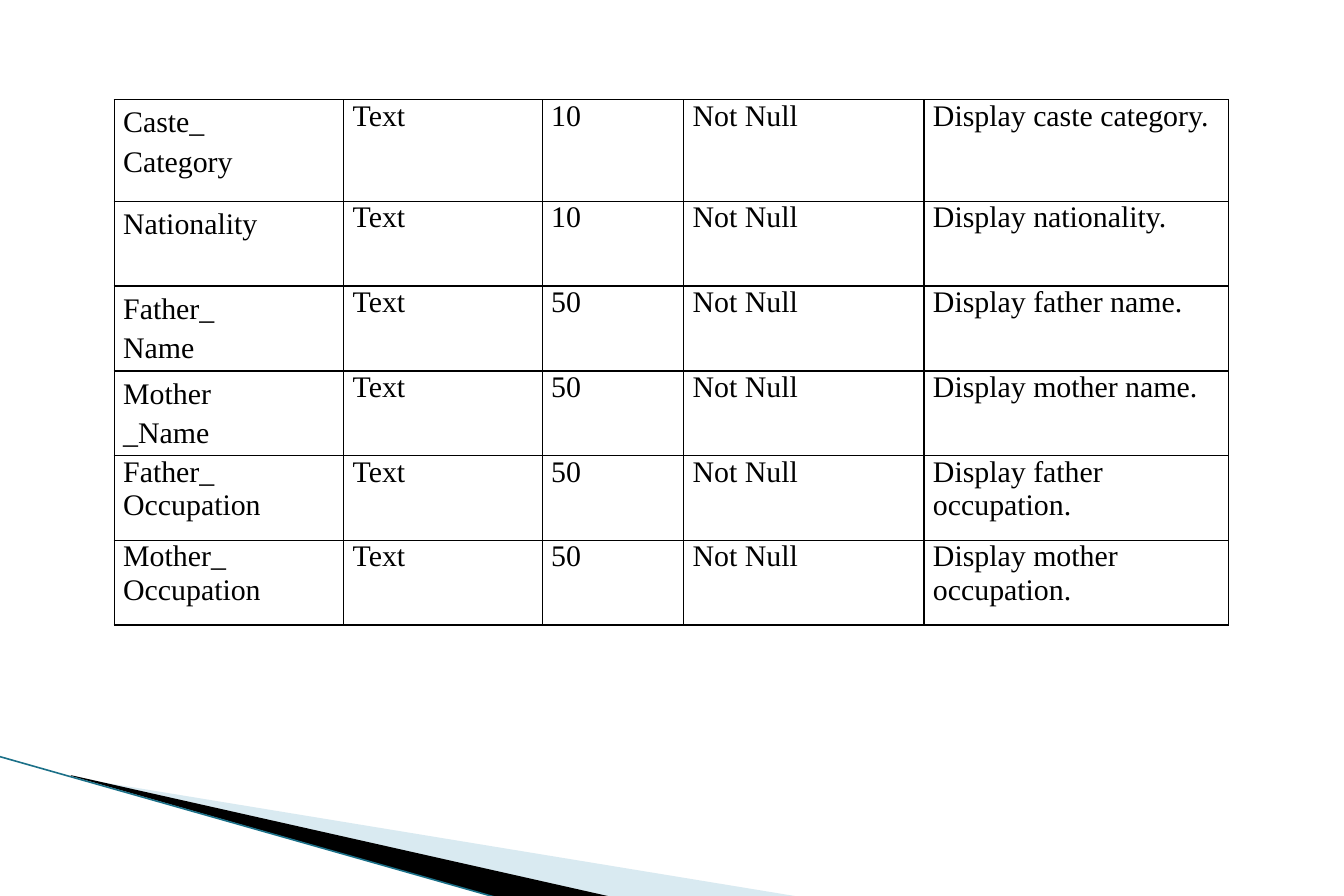
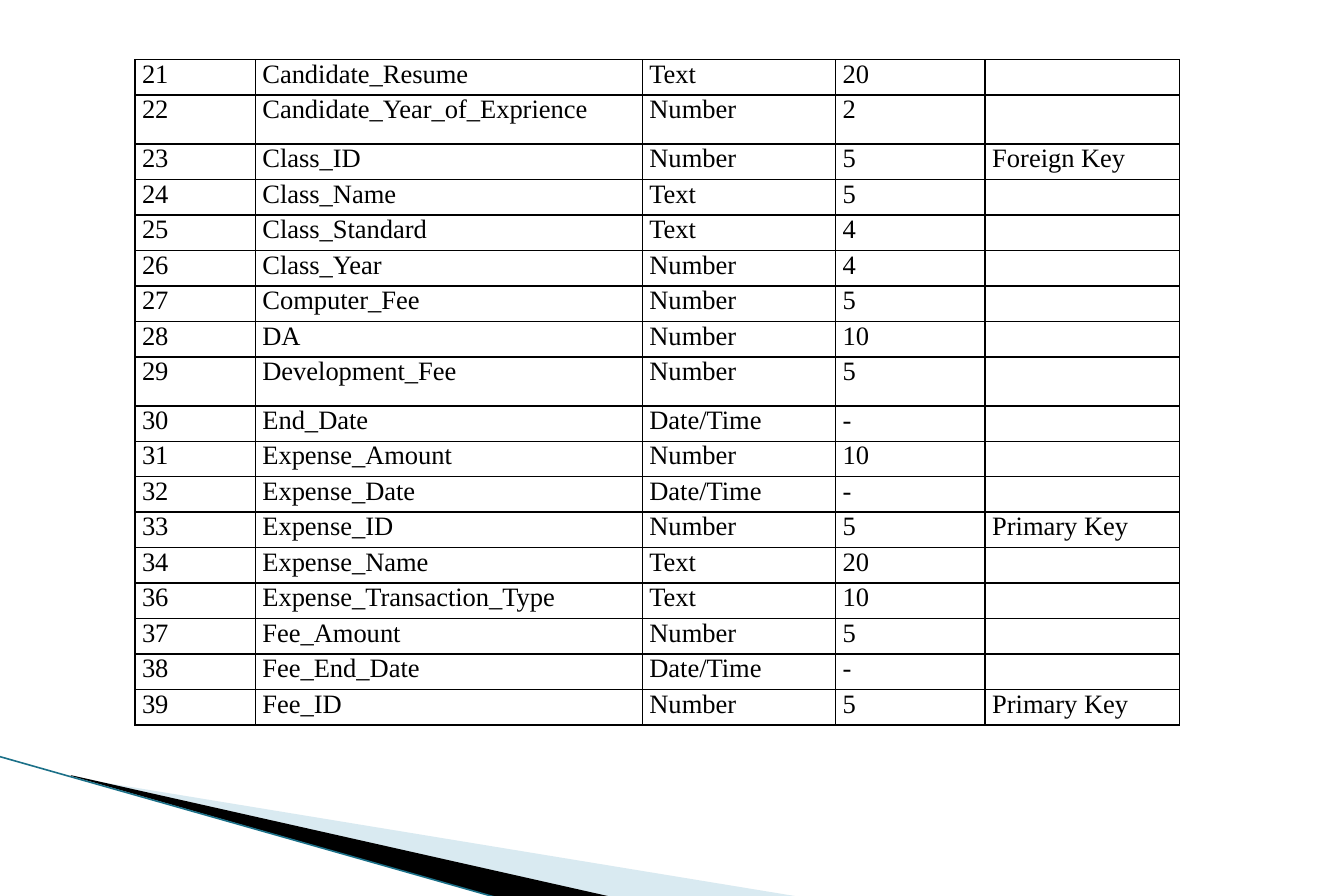
from lxml import etree
from pptx import Presentation
from pptx import util as u
from pptx.dml.color import RGBColor
from pptx.enum import shapes
from pptx.oxml import ns

BLACK = RGBColor(0x00, 0x00, 0x00)
PALE_BLUE = RGBColor(0xA0, 0xCB, 0xDC)
TEAL = RGBColor(0x1B, 0x70, 0x88)
FONT = "Times New Roman"


def add_borders(cell):
    """Give all four sides of a cell a thin black line."""
    properties = cell._tc.get_or_add_tcPr()
    for position, side in enumerate(("lnL", "lnR", "lnT", "lnB")):
        line = etree.Element(ns.qn("a:" + side), w=str(u.Pt(1)))
        fill = etree.SubElement(line, ns.qn("a:solidFill"))
        etree.SubElement(fill, ns.qn("a:srgbClr"), val=str(BLACK))
        properties.insert(position, line)


presentation = Presentation()
presentation.slide_width = u.Cm(28.58)
presentation.slide_height = u.Cm(19.05)
layout = presentation.slide_layouts[6]
slides = [presentation.slides.add_slide(layout) for _ in range(2)]

# Corner decoration, drawn once and kept on the shared layout
for placeholder in list(layout.placeholders):
    layout.shapes.element.remove(placeholder.element)

wedges = [
    (PALE_BLUE, 40, [(1.55, 16.53), (17.08, 19.08), (13.03, 19.08), (1.57, 16.5)]),
    (BLACK, 100, [(1.5, 16.48), (13.05, 19.08), (10.62, 19.1), (1.55, 16.51)]),
]
decoration = []
for color, opacity, corners in wedges:
    points = [(u.Cm(x), u.Cm(y)) for x, y in corners]
    builder = slides[0].shapes.build_freeform(*points[0])
    builder.add_line_segments(points[1:], close=True)
    wedge = builder.convert_to_shape()
    wedge.shadow.inherit = False
    wedge.fill.solid()
    wedge.fill.fore_color.rgb = color
    color_element = wedge.element.spPr.find(".//" + ns.qn("a:srgbClr"))
    etree.SubElement(color_element, ns.qn("a:alpha"), val=str(opacity * 1000))
    wedge.line.fill.background()
    decoration.append(wedge)

edge = slides[0].shapes.add_connector(
    shapes.MSO_CONNECTOR.STRAIGHT, u.Cm(-0.03), u.Cm(16.08), u.Cm(10.62), u.Cm(19.1))
edge.line.color.rgb = TEAL
edge.line.width = u.Pt(0.95)
etree.SubElement(edge.element.spPr, ns.qn("a:effectLst"))
decoration.append(edge)

for shape in decoration:
    layout.shapes.element.append(shape.element)

# Table contents
student_rows = [
    ("Caste_\nCategory", "Text", "10", "Not Null", "Display caste category."),
    ("Nationality", "Text", "10", "Not Null", "Display nationality."),
    ("Father_\nName", "Text", "50", "Not Null", "Display father name."),
    ("Mother\n_Name", "Text", "50", "Not Null", "Display mother name."),
    ("Father_\nOccupation", "Text", "50", "Not Null", "Display father occupation."),
    ("Mother_\nOccupation", "Text", "50", "Not Null", "Display mother occupation."),
]
dictionary_rows = [
    ("21", "Candidate_Resume", "Text", "20", ""),
    ("22", "Candidate_Year_of_Exprience", "Number", "2", ""),
    ("23", "Class_ID", "Number", "5", "Foreign Key"),
    ("24", "Class_Name", "Text", "5", ""),
    ("25", "Class_Standard", "Text", "4", ""),
    ("26", "Class_Year", "Number", "4", ""),
    ("27", "Computer_Fee", "Number", "5", ""),
    ("28", "DA", "Number", "10", ""),
    ("29", "Development_Fee", "Number", "5", ""),
    ("30", "End_Date", "Date/Time", "-", ""),
    ("31", "Expense_Amount", "Number", "10", ""),
    ("32", "Expense_Date", "Date/Time", "-", ""),
    ("33", "Expense_ID", "Number", "5", "Primary Key"),
    ("34", "Expense_Name", "Text", "20", ""),
    ("36", "Expense_Transaction_Type", "Text", "10", ""),
    ("37", "Fee_Amount", "Number", "5", ""),
    ("38", "Fee_End_Date", "Date/Time", "-", ""),
    ("39", "Fee_ID", "Number", "5", "Primary Key"),
]

# Layout of each table, in centimetres; "tall" and "loose" hold row numbers
tables = [
    {"rows": student_rows, "left": 2.43, "top": 2.12, "height": 11.17,
     "columns": (4.88, 4.22, 3.01, 5.11, 6.48), "tall": {0}, "tall_height": 2.16,
     "size": 18, "inset": 0.19, "loose": {0, 1, 2, 3}},
    {"rows": dictionary_rows, "left": 2.87, "top": 1.27, "height": 14.15,
     "columns": (2.56, 8.23, 4.11, 3.18, 4.13), "tall": {1, 8}, "tall_height": 1.04,
     "size": 16, "inset": 0.15, "loose": set()},
]

for slide, design in zip(slides, tables):
    rows, widths, tall = (design[key] for key in ("rows", "columns", "tall"))
    table = slide.shapes.add_table(
        len(rows), len(widths), u.Cm(design["left"]), u.Cm(design["top"]),
        u.Cm(sum(widths)), u.Cm(design["height"])).table
    table.first_row = table.horz_banding = False
    for column, width in zip(table.columns, widths):
        column.width = u.Cm(width)

    # Ordinary rows share the height that the tall rows leave
    tall_height = design["tall_height"]
    row_height = (design["height"] - len(tall) * tall_height) / (len(rows) - len(tall))
    cell_format = {"margin_left": u.Cm(design["inset"]),
                   "margin_right": u.Cm(design["inset"]),
                   "margin_top": 0, "margin_bottom": 0}
    font_format = {"name": FONT, "size": u.Pt(design["size"])}

    for row_number, values in enumerate(rows):
        table.rows[row_number].height = u.Cm(tall_height if row_number in tall else row_height)
        for column_number, value in enumerate(values):
            cell = table.cell(row_number, column_number)
            for name, setting in cell_format.items():
                setattr(cell, name, setting)
            cell.fill.background()
            add_borders(cell)
            cell.text = value
            for paragraph in cell.text_frame.paragraphs:
                if column_number == 0 and row_number in design["loose"]:
                    paragraph.line_spacing = 1.2
                for run in paragraph.runs:
                    for name, setting in font_format.items():
                        setattr(run.font, name, setting)
                    run.font.color.rgb = BLACK
                if not value:
                    # An empty cell keeps the text size, so its row does not grow
                    etree.SubElement(paragraph._p, ns.qn("a:endParaRPr"),
                                     sz=str(design["size"] * 100))

presentation.save("out.pptx")
